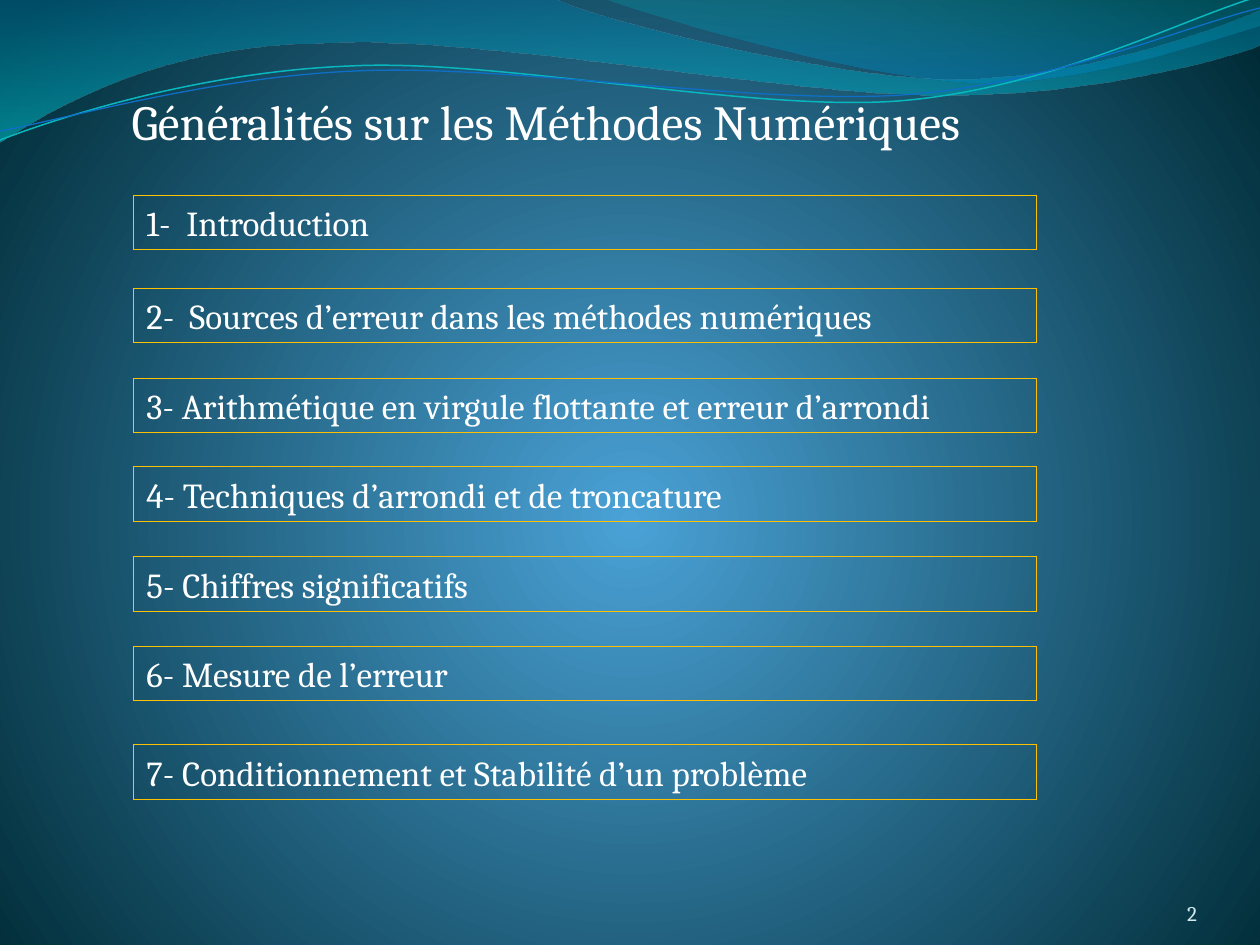
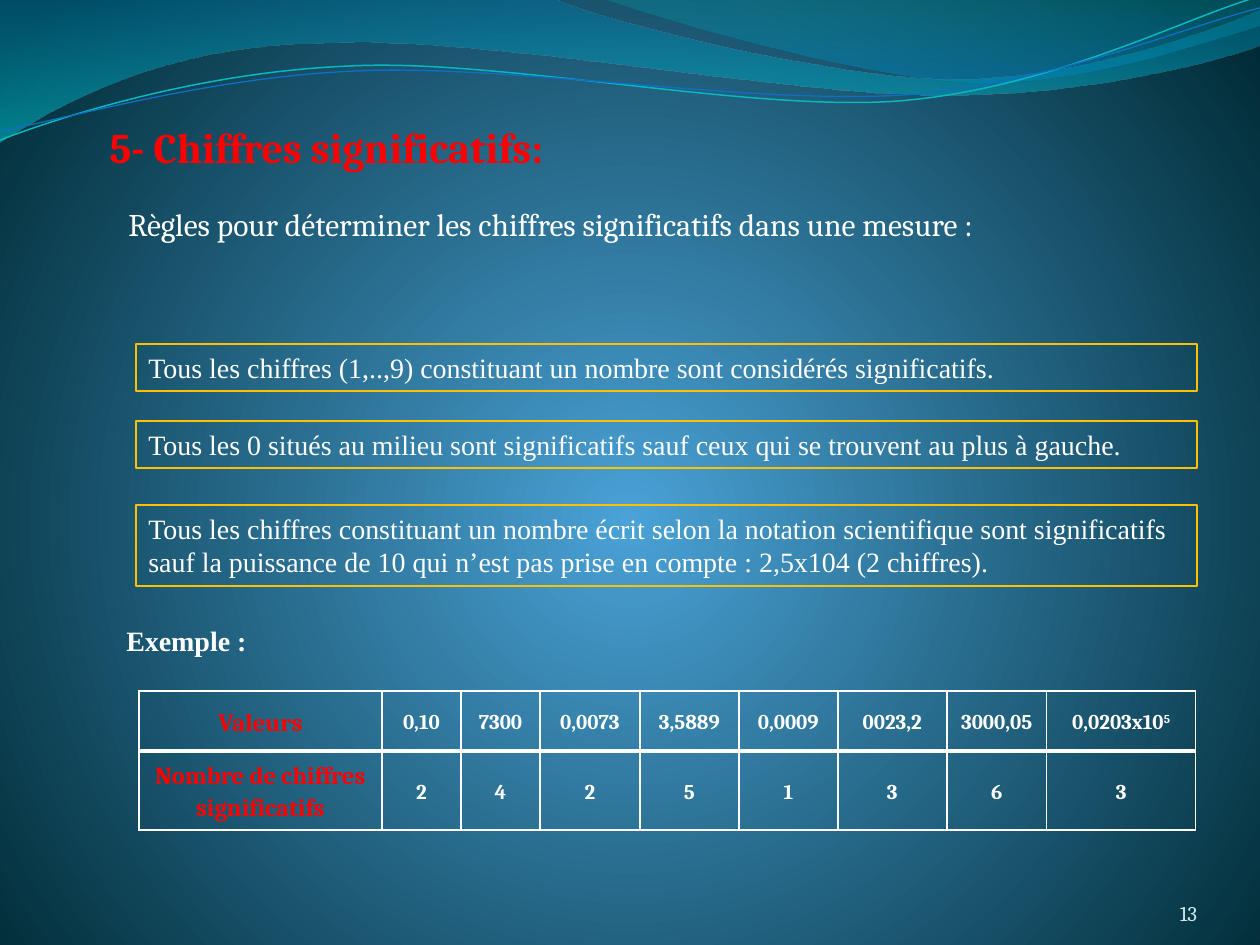
from dataclasses import dataclass

import pptx
import pptx.dml.color
import pptx.enum.shapes
import pptx.enum.text
import pptx.oxml
import pptx.oxml.ns
import pptx.util

EMU_PER_PX = 914400 / 126
ALIGN = pptx.enum.text.PP_ALIGN
ANCHOR = pptx.enum.text.MSO_ANCHOR
AUTO_SIZE = pptx.enum.text.MSO_AUTO_SIZE
qn = pptx.oxml.ns.qn
DRAWING_NAMESPACE = pptx.oxml.ns.nsdecls("a")


@dataclass(frozen=True)
class Theme:
    white: str = "FFFFFF"
    red: str = "FF0000"
    gold: str = "FFC000"
    number: str = "D1EAED"
    glow: str = "4AA2D6"
    night: str = "002B36"
    heading_font: str = "Cambria"
    body_font: str = "Times New Roman"
    title_size: int = 28
    section_size: int = 24
    topic_size: int = 20
    lead_size: int = 18
    body_size: int = 16
    label_size: int = 14
    small_size: int = 12


THEME = Theme()

# Wave outlines: a pair is a straight step, six numbers are a Bezier curve
UPPER_BAND = [
    (0, 0), (554, -1), (600, 21, 837, 79, 955, 79), (1075, 79, 1207, 33, 1260, 11),
    (1261, 45), (1239, 55, 1096, 96, 940, 95), (784, 95, 481, 35, 324, 43),
    (163, 44, 58, 105, -1, 142), (0, 0),
]
RIGHT_BAND = [
    (604, -1), (641, 14, 859, 78, 969, 82), (1079, 87, 1211, 40, 1260, 26), (1260, 0),
    (604, -1),
]
TEAL_LINE = [
    (0, 140), (60, 117, 199, 72, 349, 66), (498, 58, 747, 112, 898, 101),
    (1050, 89, 1182, 19, 1257, -3),
]
BLUE_LINE = [
    (0, 131), (59, 121, 207, 77, 357, 71), (508, 64, 752, 105, 903, 95),
    (1053, 84, 1186, 26, 1260, 8),
]

# Top, text and, where the number stands apart, its tab stop
TOPICS = [
    (195, "1-\tIntroduction", 40),
    (288, "2-\tSources d’erreur dans les méthodes numériques", 43),
    (378, "3- Arithmétique en virgule flottante et erreur d’arrondi", None),
    (467, "4- Techniques d’arrondi et de troncature", None),
    (557, "5- Chiffres significatifs", None),
    (646, "6- Mesure de l’erreur", None),
    (745, "7- Conditionnement et Stabilité d’un problème", None),
]
RULES = [
    (344, 47, "Tous les chiffres (1,..,9) constituant un nombre sont considérés significatifs."),
    (421, 47, "Tous les 0 situés au milieu sont significatifs sauf ceux qui se trouvent "
              "au plus à gauche."),
    (505, 81, "Tous les chiffres constituant un nombre écrit selon la notation scientifique "
              "sont significatifs sauf la puissance de 10 qui n’est pas prise en compte : "
              "2,5x104 (2 chiffres)."),
]
EXAMPLES = [
    ["Valeurs", "0,10", "7300", "0,0073", "3,5889", "0,0009", "0023,2", "3000,05",
     "0,0203x10^5"],
    ["Nombre de chiffres significatifs", "2", "4", "2", "5", "1", "3", "6", "3"],
]
COLUMN_WIDTHS = [243, 79, 79, 100, 99, 99, 109, 100, 149]
ROW_HEIGHTS = [60, 79]


def px(length):
    return pptx.util.Emu(round(length * EMU_PER_PX))


def box(*lengths):
    return [px(length) for length in lengths]


def rgb(color):
    return pptx.dml.color.RGBColor.from_string(color)


# Text
def write_text(frame, text, size, color=THEME.white, font=THEME.heading_font, bold=False,
               align=ALIGN.LEFT, anchor=ANCHOR.TOP, space=0, line_spacing=None, tab=None):
    """Write one paragraph; the part after ^ is raised."""
    frame.word_wrap = True
    frame.vertical_anchor = anchor
    paragraph = frame.paragraphs[0]
    paragraph.alignment = align
    paragraph.space_before = paragraph.space_after = pptx.util.Pt(space)
    paragraph.line_spacing = line_spacing
    if tab:
        paragraph._p.get_or_add_pPr().append(pptx.oxml.parse_xml(
            f'<a:tabLst {DRAWING_NAMESPACE}><a:tab pos="{px(tab)}" algn="l"/></a:tabLst>'))
    for index, part in enumerate(text.split("^")):
        run = paragraph.add_run()
        run.text = part
        run.font.size = pptx.util.Pt(size)
        run.font.name = font
        run.font.bold = bold
        run.font.color.rgb = rgb(color)
        if index:
            run._r.get_or_add_rPr().set("baseline", "30000")


def add_label(slide, place, text, **text_format):
    label = slide.shapes.add_textbox(*box(*place))
    write_text(label.text_frame, text, **text_format)
    return label


def set_line(shape, color, width):
    shape.line.color.rgb = rgb(color)
    # A zero width has to be written out to give a hairline
    shape.element.spPr.find(qn("a:ln")).set("w", str(pptx.util.Pt(width)))


def add_framed_text(slide, place, text, line_width, **text_format):
    frame = slide.shapes.add_shape(pptx.enum.shapes.MSO_SHAPE.RECTANGLE, *box(*place))
    frame.shadow.inherit = False
    frame.fill.background()
    set_line(frame, THEME.gold, line_width)
    write_text(frame.text_frame, text, **text_format)
    frame.text_frame.auto_size = AUTO_SIZE.SHAPE_TO_FIT_TEXT


# Background and waves
def set_gradient(parent, stops, direction):
    """Replace the empty fill of parent by stops of (position, colour, opacity)."""
    stop_xml = "".join(
        f'<a:gs pos="{position * 1000}"><a:srgbClr val="{color}">'
        f'<a:alpha val="{opacity * 1000}"/></a:srgbClr></a:gs>'
        for position, color, opacity in stops)
    gradient = pptx.oxml.parse_xml(
        f'<a:gradFill {DRAWING_NAMESPACE} rotWithShape="1">'
        f"<a:gsLst>{stop_xml}</a:gsLst>{direction}</a:gradFill>")
    parent.replace(parent.find(qn("a:noFill")), gradient)


def bend_segments(wave, outline):
    """Join the three straight steps of each six-number segment into one curve."""
    steps = iter(list(wave.element.iter(qn("a:lnTo"))))
    for segment in outline[1:]:
        first = next(steps)
        if len(segment) == 2:
            continue
        curve = pptx.oxml.parse_xml(f"<a:cubicBezTo {DRAWING_NAMESPACE}/>")
        first.addprevious(curve)
        for step in (first, next(steps), next(steps)):
            curve.append(step[0])
            step.getparent().remove(step)


def add_wave(slide, outline, close):
    points = [box(*segment[index:index + 2])
              for segment in outline for index in range(0, len(segment), 2)]
    builder = slide.shapes.build_freeform(*points[0], scale=1.0)
    builder.add_line_segments(points[1:], close=close)
    wave = builder.convert_to_shape()
    bend_segments(wave, outline)
    wave.shadow.inherit = False
    wave.fill.background()
    return wave


def add_band(slide, outline, stops, angle):
    band = add_wave(slide, outline, close=True)
    band.line.fill.background()
    set_gradient(band.element.spPr, stops, f'<a:lin ang="{angle * 60000}" scaled="0"/>')
    return band


def add_wave_line(slide, outline, color, width):
    line = add_wave(slide, outline, close=False)
    set_line(line, color, width)
    return line


def decorate_master(master, slide):
    """Draw the waves on a slide, then move them to the master that all slides share."""
    master.background.fill.background()
    set_gradient(
        master.element.find(".//" + qn("p:bgPr")),
        [(0, THEME.glow, 100), (100, THEME.night, 100)],
        '<a:path path="circle"><a:fillToRect l="50000" t="55000" r="50000" b="45000"/></a:path>')
    waves = [
        add_band(slide, UPPER_BAND, [(0, "0074A0", 45), (100, "00C4CD", 55)], 90),
        add_band(slide, RIGHT_BAND, [(20, "008ABF", 45), (100, "00A0A8", 30)], 270),
        add_wave_line(slide, TEAL_LINE, "09B7BF", 0.85),
        add_wave_line(slide, BLUE_LINE, "0F6FC6", 0.75),
    ]
    for shape_id, wave in enumerate(waves, start=101):
        wave.element.nvSpPr.cNvPr.set("id", str(shape_id))
        master.element.cSld.spTree.append(wave.element)


# Slide frame
def add_slide(presentation, place, title, number, **title_format):
    slide = presentation.slides.add_slide(presentation.slide_layouts.get_by_name("Title Only"))
    heading = slide.shapes.title
    heading.left, heading.top, heading.width, heading.height = box(*place)
    write_text(heading.text_frame, title, **title_format)
    heading.text_frame.auto_size = AUTO_SIZE.NONE
    label = add_label(slide, (1092, 876, 105, 50), number, size=THEME.small_size,
                      color=THEME.number, align=ALIGN.RIGHT, anchor=ANCHOR.BOTTOM)
    frame = label.text_frame
    frame.margin_left = frame.margin_top = frame.margin_right = frame.margin_bottom = 0
    return slide


# Table
def set_borders(cell, **widths):
    properties = cell._tc.get_or_add_tcPr()
    for side in "LRTB":
        width = pptx.util.Pt(widths.get(side, 1))
        properties.append(pptx.oxml.parse_xml(
            f'<a:ln{side} {DRAWING_NAMESPACE} w="{width}"><a:solidFill>'
            f'<a:srgbClr val="{THEME.white}"/></a:solidFill></a:ln{side}>'))


def add_example_table(slide, left, top):
    table = slide.shapes.add_table(
        len(EXAMPLES), len(COLUMN_WIDTHS),
        *box(left, top, sum(COLUMN_WIDTHS), sum(ROW_HEIGHTS))).table
    table.first_row = table.horz_banding = False
    for column, width in zip(table.columns, COLUMN_WIDTHS):
        column.width = px(width)
    for row, height in zip(table.rows, ROW_HEIGHTS):
        row.height = px(height)
    for row_index, values in enumerate(EXAMPLES):
        for column_index, value in enumerate(values):
            cell = table.cell(row_index, column_index)
            is_label = column_index == 0
            write_text(cell.text_frame, value, bold=True, align=ALIGN.CENTER,
                       size=THEME.label_size if is_label else THEME.small_size,
                       color=THEME.red if is_label else THEME.white,
                       space=6, line_spacing=1.15)
            cell.vertical_anchor = ANCHOR.MIDDLE
            cell.margin_left = cell.margin_right = px(9)
            cell.margin_top = cell.margin_bottom = 0
            set_borders(cell, **({"T": 3} if row_index else {"B": 3}))
            cell.fill.background()


# Slides
def add_outline_slide(presentation):
    slide = add_slide(presentation, (119, 85, 940, 72),
                      "Généralités sur les Méthodes Numériques", "2", size=THEME.title_size)
    for top, topic, tab in TOPICS:
        add_framed_text(slide, (134, top, 903, 55), topic, 0, size=THEME.topic_size, tab=tab)
    return slide


def add_digits_slide(presentation):
    slide = add_slide(presentation, (97, 115, 523, 63), "5- Chiffres significatifs:", "13",
                      size=THEME.section_size, color=THEME.red, bold=True)
    add_label(slide, (116, 199, 975, 50),
              "Règles pour déterminer les chiffres significatifs dans une mesure :",
              size=THEME.lead_size)
    for top, height, rule in RULES:
        add_framed_text(slide, (136, top, 1061, height), rule, 0.75, size=THEME.body_size,
                        font=THEME.body_font, space=12)
    add_label(slide, (114, 617, 179, 47), "Exemple :", size=THEME.body_size,
              font=THEME.body_font, bold=True)
    add_example_table(slide, 139, 691)


def main():
    presentation = pptx.Presentation()
    presentation.slide_width, presentation.slide_height = box(1260, 945)
    outline_slide = add_outline_slide(presentation)
    decorate_master(presentation.slide_master, outline_slide)
    add_digits_slide(presentation)
    presentation.save("out.pptx")


if __name__ == "__main__":
    main()
